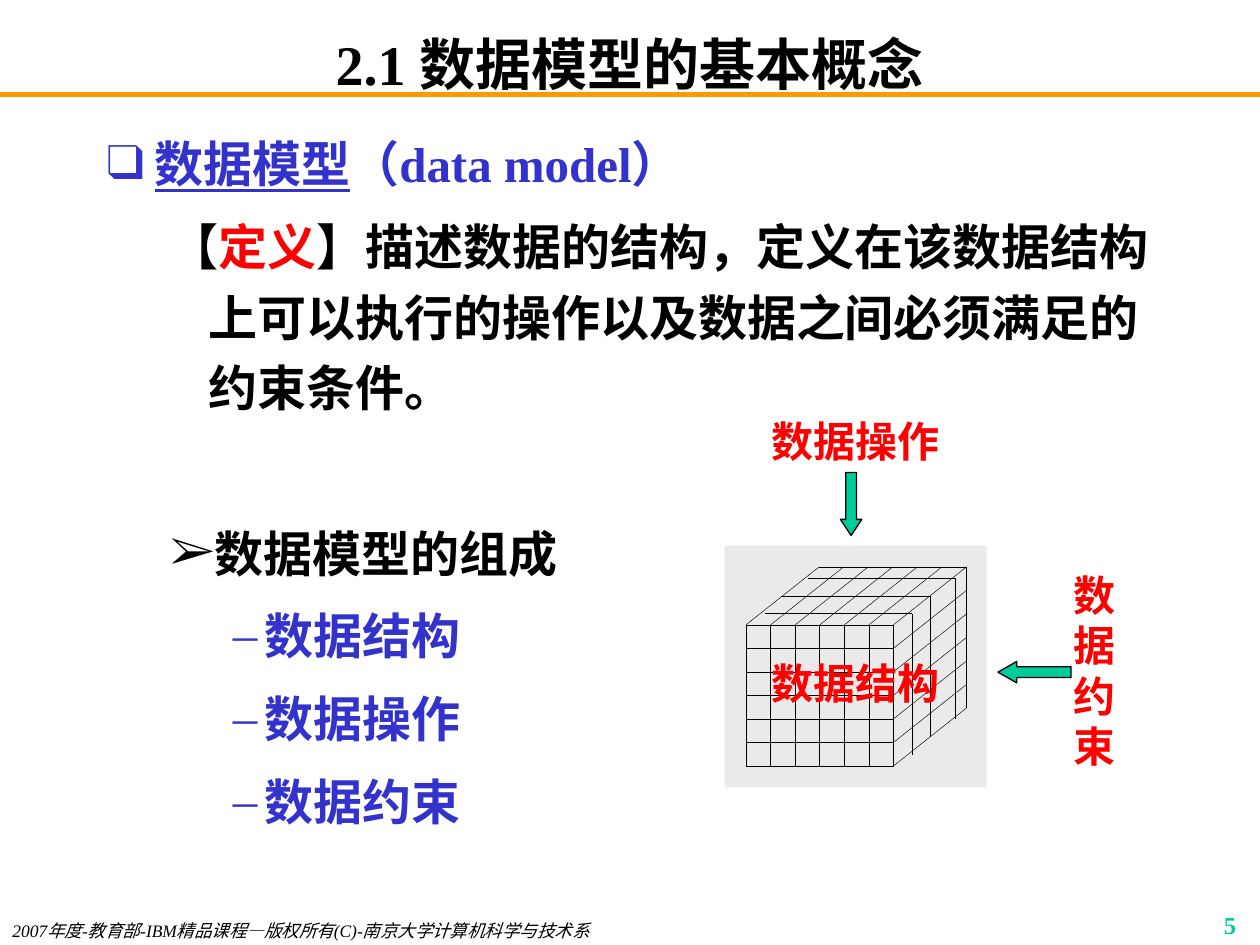
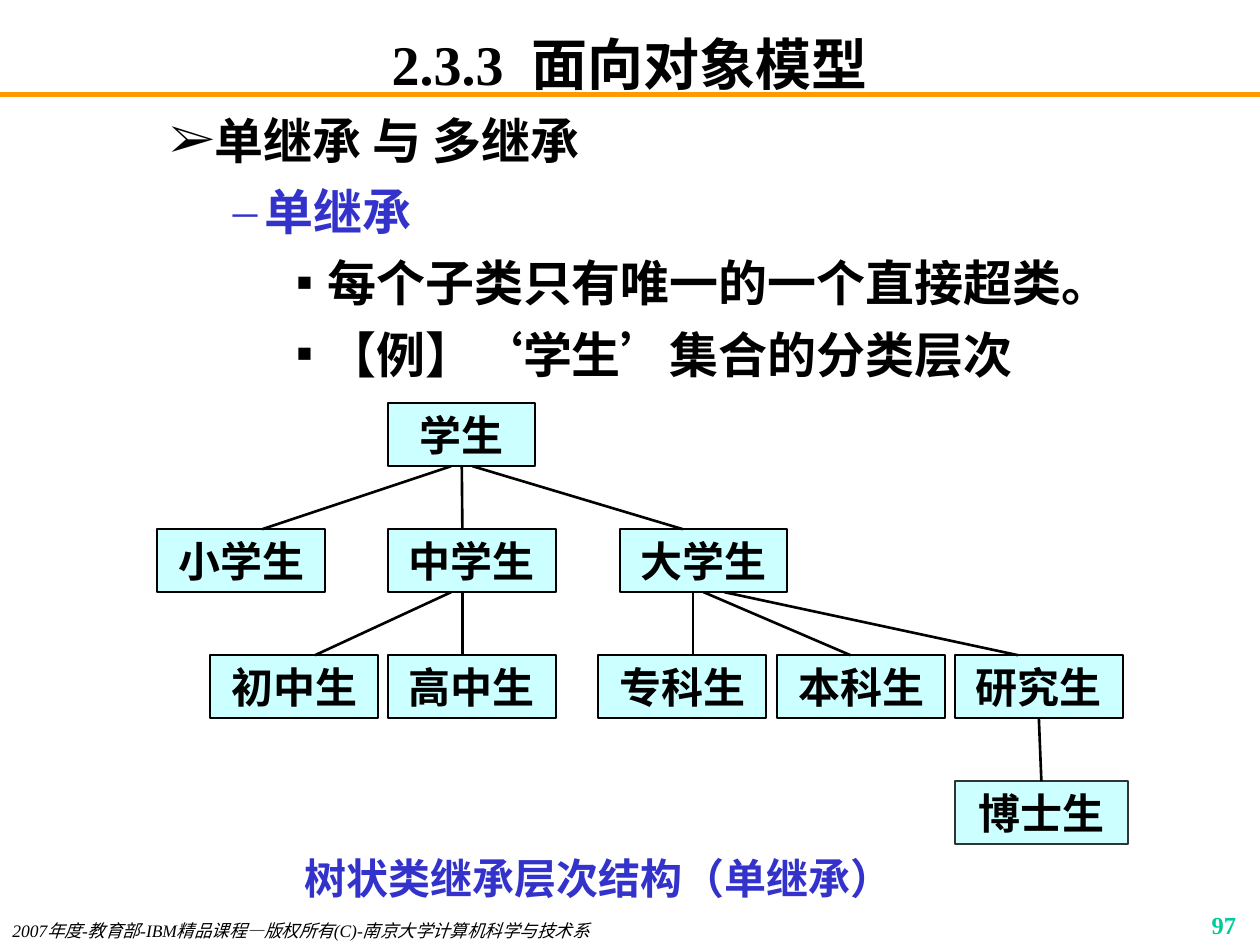
from lxml import etree
from pptx import Presentation
from pptx.dml.color import RGBColor
from pptx.enum import shapes, text
from pptx.oxml import ns
from pptx.util import Inches, Pt

BLACK = RGBColor(0x00, 0x00, 0x00)
BLUE = RGBColor(0x33, 0x33, 0xCC)
RED = RGBColor(0xFF, 0x00, 0x00)
GREEN = RGBColor(0x00, 0xCC, 0x99)
ORANGE = RGBColor(0xFF, 0x99, 0x00)
GREY = RGBColor(0xEA, 0xEA, 0xEA)
DARK = RGBColor(0x33, 0x33, 0x33)
CYAN = RGBColor(0xCC, 0xFF, 0xFF)
LATIN, CJK = "Times New Roman", "Noto Sans CJK SC"
LEFT, CENTER, RIGHT = text.PP_ALIGN.LEFT, text.PP_ALIGN.CENTER, text.PP_ALIGN.RIGHT
RECT = shapes.MSO_SHAPE.RECTANGLE
WIDTH, HEIGHT = 10, 7.5

FOOTER = "2007年度-教育部-IBM精品课程—版权所有(C)-南京大学计算机科学与技术系"

# Outline levels: left margin, hanging indent, bullet, colour
LEVELS = {
    "topic": (0.38, 0.38, "❑", BLUE),
    "definition": (0.81, 0.31, None, BLACK),
    "point": (0.81, 0.31, "➢", BLACK),
    "item": (1.25, 0.25, "–", BLUE),
    "detail": (1.75, 0.25, "▪", BLACK),
}

# Outline lines: level, runs with their own format, space before
MODEL_OUTLINE = [
    ("topic", [("数据模型", {"underline": True}), ("（data model）", {})], 0),
    ("definition", [
        ("【", {}), ("定义", {"color": RED}),
        ("】描述数据的结构，定义在该数据结构上可以执行的操作以及数据之间必须满足的约束条件。", {}),
    ], 7),
    ("point", [("数据模型的组成", {})], 54),
    ("item", [("数据结构", {})], 7),
    ("item", [("数据操作", {})], 7),
    ("item", [("数据约束", {})], 7),
]
INHERIT_OUTLINE = [
    ("point", [("单继承 与 多继承", {})], 0),
    ("item", [("单继承", {})], 7),
    ("detail", [("每个子类只有唯一的一个直接超类。", {})], 7),
    ("detail", [("【例】‘学生’集合的分类层次", {})], 7),
]

# Cube: front face, cells per side, and the depth steps of the top and right faces
CUBE_X, CUBE_Y, CUBE_W, CUBE_H, CELLS = 5.92, 4.96, 1.17, 1.12, 6
CUBE_DEPTH = [(0.15, 0.09), (0.29, 0.23), (0.49, 0.37), (0.58, 0.46)]
CUBE_LABELS = [
    ("数据结构", (6, 5.17, 1.58, 0.5)),
    ("数据约束", (8.42, 4.47, 0.5, 1.7)),
    ("数据操作", (5.75, 3.25, 2.08, 0.5)),
]
CUBE_ARROWS = [
    (shapes.MSO_SHAPE.LEFT_ARROW, (7.92, 5.25, 0.58, 0.17), 0.88),
    (shapes.MSO_SHAPE.DOWN_ARROW, (6.67, 3.75, 0.17, 0.5), 0.75),
]

# Class tree: name -> left edge, row
TREE_TOP, ROW_STEP, NODE_W, NODE_H = 3.2, 1, 1.33, 0.5
TREE = {
    "学生": (3.08, 0),
    "小学生": (1.25, 1), "中学生": (3.08, 1), "大学生": (4.92, 1),
    "初中生": (1.67, 2), "高中生": (3.08, 2), "专科生": (4.75, 2),
    "本科生": (6.17, 2), "研究生": (7.58, 2),
    "博士生": (7.58, 3),
}
NODE_WIDTHS = {"学生": 1.17, "博士生": 1.37}
# Branches: superclass, subclass, x at each end
BRANCHES = [
    ("学生", "小学生", 3.58, 2.08), ("学生", "中学生", 3.67, 3.67),
    ("学生", "大学生", 3.75, 5.42), ("中学生", "高中生", 3.67, 3.67),
    ("中学生", "初中生", 3.58, 2.5), ("大学生", "专科生", 5.5, 5.5),
    ("大学生", "本科生", 5.58, 6.75), ("大学生", "研究生", 5.75, 8.08),
    ("研究生", "博士生", 8.25, 8.25),
]


def add_run(p, words, size=24, color=BLACK, bold=True, italic=False,
            underline=False, latin=LATIN):
    r = p.add_run()
    r.text = words
    f = r.font
    f.size, f.bold, f.italic, f.underline, f.name = Pt(size), bold, italic, underline, latin
    f.color.rgb = color
    ea = etree.SubElement(r._r.get_or_add_rPr(), ns.qn("a:ea"))
    ea.set("typeface", CJK)


def write(sp, words, align=CENTER, inset=(0.1, 0.05), anchor=text.MSO_ANCHOR.TOP, **fmt):
    """Set one line of text in a shape or box."""
    tf = sp.text_frame
    tf.word_wrap, tf.vertical_anchor = True, anchor
    tf.margin_left = tf.margin_right = Inches(inset[0])
    tf.margin_top = tf.margin_bottom = Inches(inset[1])
    p = tf.paragraphs[0]
    p.alignment = align
    add_run(p, words, **fmt)


def add_box(s, at):
    return s.shapes.add_textbox(*map(Inches, at))


def add_figure(s, kind, at, fill, line=None, weight=0.75):
    sp = s.shapes.add_shape(kind, *map(Inches, at))
    sp.shadow.inherit = False
    sp.fill.solid()
    sp.fill.fore_color.rgb = fill
    if line is None:
        sp.line.fill.background()
    else:
        sp.line.color.rgb, sp.line.width = line, Pt(weight)
    return sp


def add_line(s, x1, y1, x2, y2, weight, color=BLACK):
    c = s.shapes.add_connector(shapes.MSO_CONNECTOR.STRAIGHT,
                               *map(Inches, (x1, y1, x2, y2)))
    c.line.color.rgb, c.line.width = color, Pt(weight)
    etree.SubElement(c._element.spPr, ns.qn("a:effectLst"))
    return c


def add_bullet(p, margin, hang, bullet, color):
    pPr = p._p.get_or_add_pPr()
    pPr.set("marL", str(Inches(margin)))
    pPr.set("indent", str(-Inches(hang)))
    if bullet is None:
        etree.SubElement(pPr, ns.qn("a:buNone"))
        return
    clr = etree.SubElement(pPr, ns.qn("a:buClr"))
    etree.SubElement(clr, ns.qn("a:srgbClr")).set("val", str(color))
    etree.SubElement(pPr, ns.qn("a:buFont")).set("typeface", LATIN)
    etree.SubElement(pPr, ns.qn("a:buChar")).set("char", bullet)


def add_outline(s, lines, top, spacing, latin):
    tf = add_box(s, (0.75, top, 8.5, 6.08)).text_frame
    tf.word_wrap = True
    for i, (level, runs, before) in enumerate(lines):
        p = tf.add_paragraph() if i else tf.paragraphs[0]
        p.line_spacing, p.space_before = spacing, Pt(before)
        add_bullet(p, *LEVELS[level])
        for words, fmt in runs:
            add_run(p, words, **{"size": 28, "color": LEVELS[level][3], "latin": latin, **fmt})


def add_page(prs, title, number):
    """Add a slide with the shared rule, title, footer and page number."""
    s = prs.slides.add_slide(prs.slide_layouts[6])
    add_line(s, 0, 0.75, WIDTH, 0.75, 3, ORANGE)
    write(add_box(s, (0.75, 0.25, 8.5, 0.5)), title, size=32, inset=(0.1, 0),
          anchor=text.MSO_ANCHOR.MIDDLE)
    write(add_box(s, (0, 7.25, 5.5, 0.25)), FOOTER, align=LEFT, size=10,
          bold=False, italic=True)
    write(add_box(s, (7.83, 7.17, 2.08, 0.25)), str(number), align=RIGHT,
          size=14, color=GREEN)
    return s


def add_cube(s):
    add_figure(s, RECT, (5.75, 4.33, 2.08, 1.92), GREY)
    add_figure(s, RECT, (CUBE_X, CUBE_Y, CUBE_W, CUBE_H), GREY, BLACK, 0.25)
    right, bottom = CUBE_X + CUBE_W, CUBE_Y + CUBE_H
    back_x, back_y = CUBE_DEPTH[-1]
    edges = []
    for i in range(CELLS + 1):
        x, y = CUBE_X + CUBE_W * i / CELLS, CUBE_Y + CUBE_H * i / CELLS
        edges.append((x, CUBE_Y, x + back_x, CUBE_Y - back_y))
        if i:
            edges.append((right, y, right + back_x, y - back_y))
        if 0 < i < CELLS:
            edges += [(CUBE_X, y, right, y), (x, CUBE_Y, x, bottom)]
    for dx, dy in CUBE_DEPTH:
        edges.append((CUBE_X + dx, CUBE_Y - dy, right + dx, CUBE_Y - dy))
        edges.append((right + dx, CUBE_Y - dy, right + dx, bottom - dy))
    for edge in edges:
        add_line(s, *edge, 0.25)
    for kind, at, head in CUBE_ARROWS:
        arrow = add_figure(s, kind, at, GREEN, BLACK)
        arrow.adjustments[0], arrow.adjustments[1] = 0.5, head
    for words, at in CUBE_LABELS:
        write(add_box(s, at), words, color=RED)


def add_tree(s):
    nodes = {}
    for name, (x, row) in TREE.items():
        at = (x, TREE_TOP + row * ROW_STEP, NODE_WIDTHS.get(name, NODE_W), NODE_H)
        line = DARK if name == "博士生" else BLACK
        nodes[name] = add_figure(s, RECT, at, CYAN, line, 1.13)
        write(nodes[name], name, anchor=text.MSO_ANCHOR.MIDDLE, latin=CJK)
    for parent, child, x1, x2 in BRANCHES:
        y = TREE_TOP + TREE[parent][1] * ROW_STEP + NODE_H
        c = add_line(s, x1, y, x2, y + ROW_STEP - NODE_H, 1.5)
        if is_middle(nodes[parent], x1):
            c.begin_connect(nodes[parent], 2)
        if is_middle(nodes[child], x2):
            c.end_connect(nodes[child], 0)


def is_middle(sp, x):
    return abs(sp.left + sp.width / 2 - Inches(x)) < Inches(0.03)


def main():
    prs = Presentation()
    prs.slide_width, prs.slide_height = Inches(WIDTH), Inches(HEIGHT)

    s = add_page(prs, "2.1 数据模型的基本概念", 5)
    add_outline(s, MODEL_OUTLINE, 0.92, 1.2, LATIN)
    add_cube(s)

    s = add_page(prs, "2.3.3  面向对象模型", 97)
    add_outline(s, INHERIT_OUTLINE, 0.83, 1.0, CJK)
    add_tree(s)
    write(add_box(s, (1.75, 6.77, 6, 0.4)), "树状类继承层次结构（单继承）",
          inset=(0, 0), color=BLUE, latin=CJK)

    prs.save("out.pptx")


if __name__ == "__main__":
    main()
